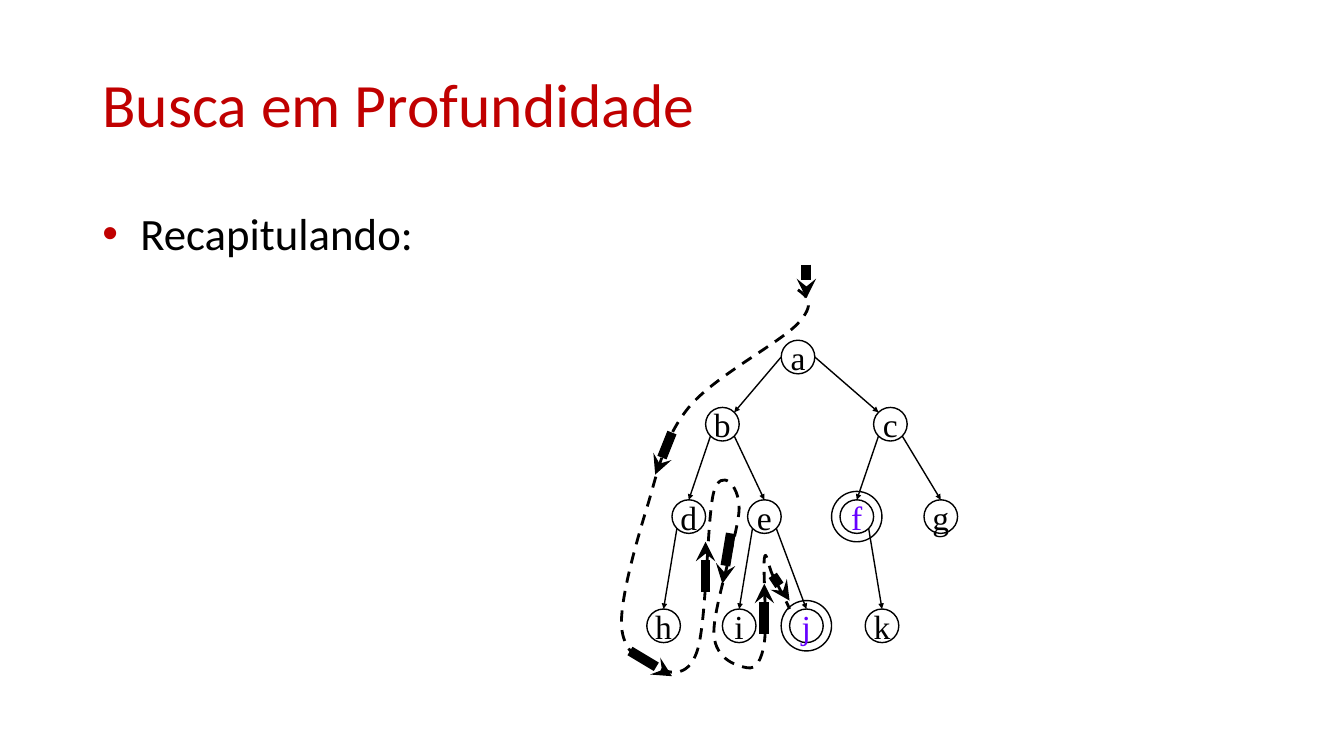
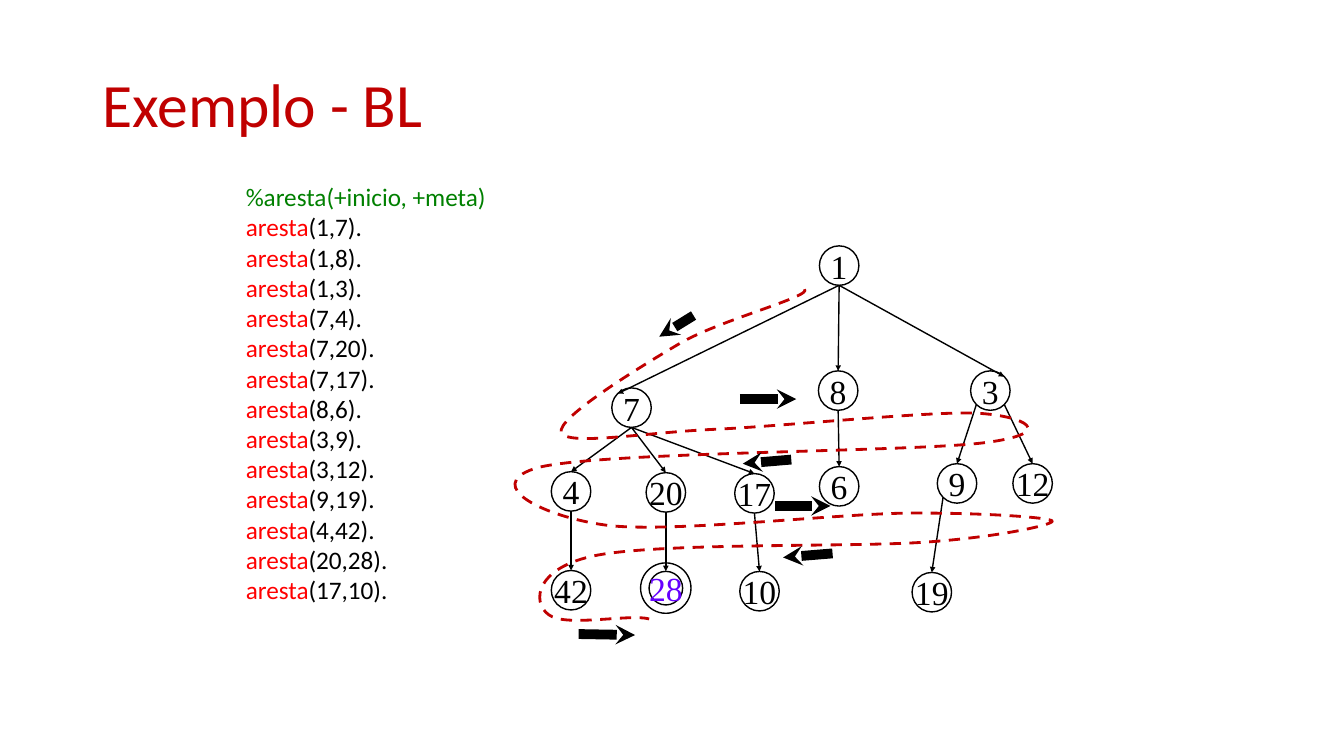
from dataclasses import dataclass
from enum import Enum
from itertools import pairwise
from math import sqrt
from typing import NamedTuple

from lxml import etree
from pptx import Presentation
from pptx.dml.color import RGBColor
from pptx.enum.dml import MSO_LINE_DASH_STYLE as DashStyle
from pptx.enum.shapes import MSO_CONNECTOR as Connector, MSO_SHAPE as Shape
from pptx.enum.text import MSO_ANCHOR as Anchor, MSO_AUTO_SIZE as AutoSize, PP_ALIGN as Align
from pptx.oxml.ns import qn
from pptx.util import Pt

BLACK, DARK_RED, RED = "000000", "C00000", "FF0000"
GREEN, PURPLE = "008000", "6600FF"
SANS, SERIF = "Calibri", "Times New Roman"
GOAL_RING = 36
DIAGONAL = sqrt(0.5)


class Point(NamedTuple):
    x: float
    y: float


class Box(NamedTuple):
    left: float
    top: float
    width: float
    height: float


TITLE_BOX = Box(66, 21.6, 828, 104.4)
BODY_BOX = Box(66, 143.3, 828, 342.7)
CODE_BOX = Box(168.5, 126, 225.4, 334)


class Site(Enum):
    """Place on a circle, as an offset in radii from its centre."""
    N = Point(0, -1)
    S = Point(0, 1)
    E = Point(1, 0)
    W = Point(-1, 0)
    NE = Point(DIAGONAL, -DIAGONAL)
    NW = Point(-DIAGONAL, -DIAGONAL)
    SE = Point(DIAGONAL, DIAGONAL)
    SW = Point(-DIAGONAL, DIAGONAL)


@dataclass(frozen=True)
class Node:
    label: str
    x: float
    y: float
    size: float = 24
    goal: bool = False

    def at(self, site: Site) -> Point:
        radius = self.size / 2
        return Point(self.x + site.value.x * radius, self.y + site.value.y * radius)


class Edge(NamedTuple):
    parent: str
    parent_site: Site
    child: str
    child_site: Site = Site.N


class Knot(NamedTuple):
    """Smooth curve point; its two handles lie at plus and minus (dx, dy)."""
    x: float
    y: float
    dx: float
    dy: float

    def handle(self, side: int) -> Point:
        return Point(self.x + side * self.dx, self.y + side * self.dy)


@dataclass(frozen=True)
class Route:
    color: str
    box: Box
    knots: list[Knot]


@dataclass(frozen=True)
class Tree:
    nodes: list[Node]
    edges: list[Edge]
    route: Route
    arrows: list[tuple[Point, Point]]


def knots(*rows: tuple[float, float, float, float]) -> list[Knot]:
    return [Knot(*row) for row in rows]


def arrows(*ends: tuple[float, float, float, float]) -> list[tuple[Point, Point]]:
    return [(Point(x1, y1), Point(x2, y2)) for x1, y1, x2, y2 in ends]


LETTER_TREE = Tree(
    nodes=[
        Node("a", 570, 255), Node("b", 516, 303), Node("c", 636, 303),
        Node("d", 492, 369), Node("e", 546, 369), Node("f", 612, 369, goal=True),
        Node("g", 672, 369), Node("h", 474, 447), Node("i", 528, 447),
        Node("j", 576, 447, goal=True), Node("k", 630, 447),
    ],
    edges=[
        Edge("a", Site.W, "b", Site.NE), Edge("a", Site.E, "c", Site.NW),
        Edge("b", Site.SW, "d"), Edge("b", Site.SE, "e"),
        Edge("c", Site.SW, "f"), Edge("c", Site.SE, "g"),
        Edge("d", Site.SW, "h"), Edge("e", Site.SW, "i"),
        Edge("e", Site.SE, "j"), Edge("f", Site.SE, "k"),
    ],
    route=Route(BLACK, Box(443.5, 207, 139.7, 279.4), knots(
        (570, 207, 6.7, 4.7), (570, 231, -13, 14), (492, 291, -18, 22),
        (462, 363, -8, 26), (444, 447, 1, 19), (468, 477, 9, 3),
        (498, 465, 7, -21), (510, 351, 5, -17), (528, 363, 0, 17),
        (510, 453, 1, 19), (534, 477, 6, 1), (546, 459, 2, -13),
        (546, 399, 1, -8), (552, 411, 3, 6), (564, 435, 1.2, 3.6))),
    arrows=arrows(
        (576, 189, 576, 213), (480, 309, 468, 339), (450, 465, 480, 483),
        (504, 423, 504, 387), (522, 381, 516, 417), (546, 453, 546, 417),
        (552, 411, 564, 429)),
)

NUMBER_SIZE = 28.2
NUMBER_TREE = Tree(
    nodes=[
        *(Node(label, x, y, NUMBER_SIZE) for label, x, y in (
            ("1", 599.4, 189.7), ("7", 451.1, 291.2), ("8", 598.7, 279),
            ("3", 707.4, 279), ("4", 407.9, 351), ("20", 475.6, 351.7),
            ("17", 538.9, 352.4), ("6", 599.4, 347.4), ("9", 683.6, 345.3),
            ("12", 737.6, 345.3), ("42", 407.9, 421.6), ("10", 542.5, 422.3),
            ("19", 665.6, 423))),
        Node("28", 475.6, 420.1, goal=True),
    ],
    edges=[
        Edge("1", Site.S, "7", Site.NW), Edge("1", Site.S, "8"),
        Edge("1", Site.S, "3", Site.NE), Edge("7", Site.S, "4"),
        Edge("7", Site.S, "20"), Edge("7", Site.S, "17"),
        Edge("8", Site.S, "6"), Edge("3", Site.SW, "9"),
        Edge("3", Site.SE, "12"), Edge("9", Site.SW, "19"),
        Edge("4", Site.S, "42"), Edge("20", Site.S, "28"),
        Edge("17", Site.S, "10"),
    ],
    route=Route(DARK_RED, Box(367.9, 206.6, 383.8, 236.2), knots(
        (574.6, 206.6, 6.5, 5), (485.3, 245.5, -28.8, 17), (401, 308.9, 4, 10),
        (509.8, 306.7, 49.6, -2.2), (698.4, 295.2, 32.4, 1.8),
        (704.2, 316.1, -52.8, 7), (381.6, 334.8, -36.7, 12.3),
        (432.7, 375.1, 44.4, 6), (650.2, 366.5, 53.2, -0.3),
        (751.7, 372.2, 1, 2.5), (658.8, 387.4, -54.7, 3.6),
        (422.6, 397.4, -43.9, 10), (394.6, 440.6, 14.4, 6.5),
        (463.7, 442.1, 13, 3.6))),
    arrows=arrows(
        (495.4, 225.4, 470.9, 240.5), (565.2, 328.3, 530.6, 331.2),
        (528.5, 285.1, 568.8, 285.1), (594.7, 395.3, 559.4, 398.2),
        (553.7, 361.4, 593.3, 361.4), (413.3, 452.9, 453.6, 453.6)),
)

CODE_COMMENT = "%aresta(+inicio, +meta)"
CODE_FACTS = ["1,7", "1,8", "1,3", "7,4", "7,20", "7,17", "8,6", "3,9",
              "3,12", "9,19", "4,42", "20,28", "17,10"]


def rgb(color: str) -> RGBColor:
    return RGBColor.from_string(color)


def add_text(paragraph, text: str, *, size: float, font: str = SANS, color: str = BLACK) -> None:
    run = paragraph.add_run()
    run.text = text
    run.font.size = Pt(size)
    run.font.name = font
    run.font.color.rgb = rgb(color)


def style_line(line, color: str, width: float) -> None:
    line.color.rgb = rgb(color)
    line.width = Pt(width)


def place(shape, box: Box) -> None:
    shape.left, shape.top, shape.width, shape.height = map(Pt, box)


def add_title(slide, text: str) -> None:
    title = slide.shapes.title
    place(title, TITLE_BOX)
    frame = title.text_frame
    frame.auto_size = AutoSize.NONE
    frame.vertical_anchor = Anchor.MIDDLE
    paragraph = frame.paragraphs[0]
    paragraph.alignment = Align.LEFT
    add_text(paragraph, text, size=44, color=DARK_RED)


def add_bullet(paragraph) -> None:
    properties = paragraph._p.get_or_add_pPr()
    properties.set("marL", str(Pt(27)))
    properties.set("indent", str(-Pt(27)))
    color = etree.SubElement(properties, qn("a:buClr"))
    etree.SubElement(color, qn("a:srgbClr"), val=DARK_RED)
    etree.SubElement(properties, qn("a:buFont"), typeface="Arial")
    etree.SubElement(properties, qn("a:buChar"), char="•")


def add_body(slide, text: str) -> None:
    body = slide.placeholders[1]
    place(body, BODY_BOX)
    body.text_frame.auto_size = AutoSize.NONE
    paragraph = body.text_frame.paragraphs[0]
    add_bullet(paragraph)
    paragraph.space_before = Pt(0)
    add_text(paragraph, text, size=32)


def add_code(slide) -> None:
    frame = slide.shapes.add_textbox(*map(Pt, CODE_BOX)).text_frame
    frame.word_wrap = True
    lines = [[(CODE_COMMENT, GREEN)]]
    lines += [[("aresta", RED), (f"({fact}).", BLACK)] for fact in CODE_FACTS]
    for index, line in enumerate(lines):
        paragraph = frame.add_paragraph() if index else frame.paragraphs[0]
        paragraph.line_spacing = Pt(21.6)
        for text, color in line:
            add_text(paragraph, text, size=18, color=color)


def add_circle(slide, center: Point, size: float):
    circle = slide.shapes.add_shape(
        Shape.OVAL, Pt(center.x - size / 2), Pt(center.y - size / 2), Pt(size), Pt(size))
    circle.shadow.inherit = False
    circle.fill.background()
    style_line(circle.line, BLACK, 1)
    return circle


def add_node(slide, node: Node) -> None:
    center = Point(node.x, node.y)
    frame = add_circle(slide, center, node.size).text_frame
    frame.word_wrap = False
    frame.vertical_anchor = Anchor.MIDDLE
    paragraph = frame.paragraphs[0]
    paragraph.alignment = Align.CENTER
    add_text(paragraph, node.label, size=24, font=SERIF, color=PURPLE if node.goal else BLACK)
    if node.goal:
        add_circle(slide, center, GOAL_RING)


def add_arrow(slide, start: Point, end: Point, *, width: float, head: str) -> None:
    arrow = slide.shapes.add_connector(Connector.STRAIGHT, *map(Pt, (*start, *end)))
    style_line(arrow.line, BLACK, width)
    etree.SubElement(arrow.line._get_or_add_ln(), qn("a:tailEnd"), type=head, w="sm", len="sm")
    etree.SubElement(arrow._element.spPr, qn("a:effectLst"))


def bend(curve, route: Route) -> None:
    """Turn the straight segments of a freeform into Bezier curves within the route's box."""
    place(curve, route.box)
    outline = next(curve._element.iter(qn("a:path")))
    outline.set("w", str(Pt(route.box.width)))
    outline.set("h", str(Pt(route.box.height)))
    for segment in list(outline):
        outline.remove(segment)

    def add_segment(tag: str, *targets: Point) -> None:
        segment = etree.SubElement(outline, qn(tag))
        for target in targets:
            etree.SubElement(segment, qn("a:pt"), x=str(Pt(target.x - route.box.left)),
                             y=str(Pt(target.y - route.box.top)))

    add_segment("a:moveTo", route.knots[0].handle(0))
    for start, end in pairwise(route.knots):
        add_segment("a:cubicBezTo", start.handle(1), end.handle(-1), end.handle(0))


def add_route(slide, route: Route) -> None:
    start, *rest = [(Pt(knot.x), Pt(knot.y)) for knot in route.knots]
    builder = slide.shapes.build_freeform(*start)
    builder.add_line_segments(rest, close=False)
    curve = builder.convert_to_shape()
    bend(curve, route)
    curve.shadow.inherit = False
    curve.fill.background()
    style_line(curve.line, route.color, 2)
    curve.line.dash_style = DashStyle.DASH


def add_tree(slide, tree: Tree) -> None:
    nodes = {node.label: node for node in tree.nodes}
    for node in tree.nodes:
        add_node(slide, node)
    for edge in tree.edges:
        add_arrow(slide, nodes[edge.parent].at(edge.parent_site),
                  nodes[edge.child].at(edge.child_site), width=1, head="triangle")
    add_route(slide, tree.route)
    for start, end in tree.arrows:
        add_arrow(slide, start, end, width=7, head="stealth")


def main() -> None:
    presentation = Presentation()
    presentation.slide_width, presentation.slide_height = Pt(960), Pt(540)
    layouts = presentation.slide_layouts

    depth_slide = presentation.slides.add_slide(layouts.get_by_name("Title and Content"))
    add_title(depth_slide, "Busca em Profundidade")
    add_body(depth_slide, "Recapitulando:")
    add_tree(depth_slide, LETTER_TREE)

    breadth_slide = presentation.slides.add_slide(layouts.get_by_name("Title Only"))
    add_title(breadth_slide, "Exemplo - BL")
    add_code(breadth_slide)
    add_tree(breadth_slide, NUMBER_TREE)

    presentation.save("out.pptx")


if __name__ == "__main__":
    main()
